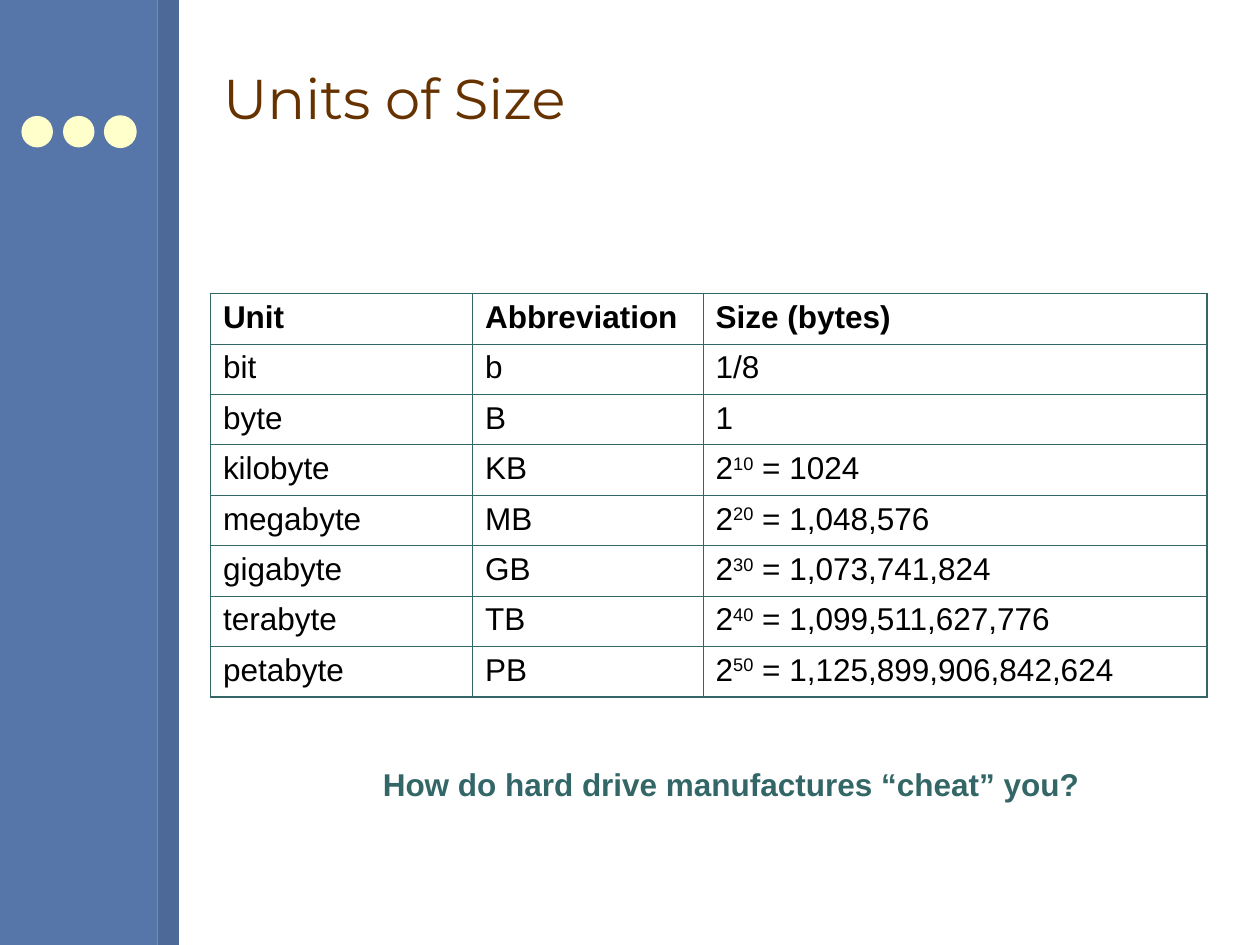
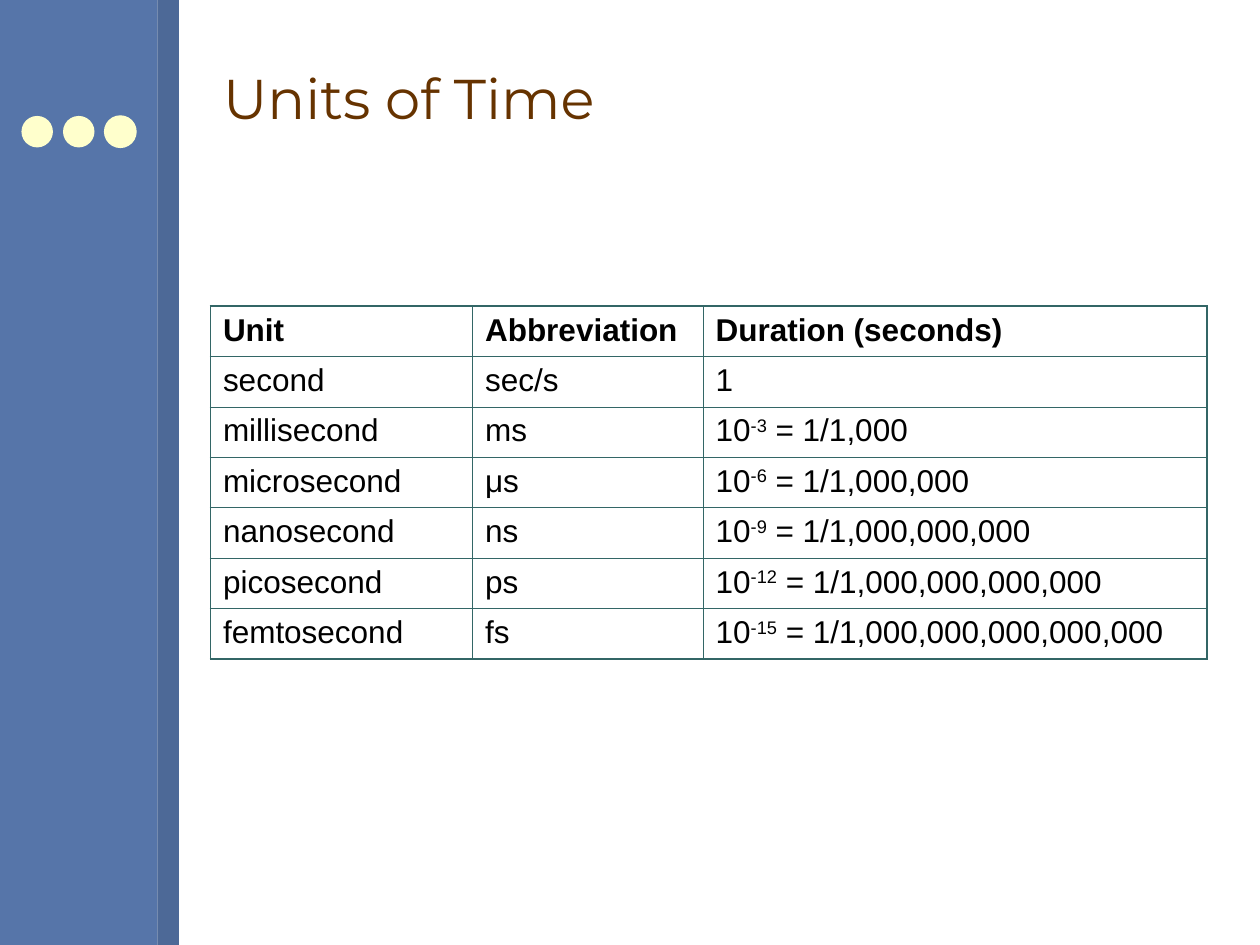
from pptx import Presentation
from pptx.dml.color import RGBColor
from pptx.enum.shapes import MSO_SHAPE as Shape
from pptx.enum.text import MSO_ANCHOR as Anchor, MSO_AUTO_SIZE as AutoSize, PP_ALIGN as Align
from pptx.oxml.ns import qn
from pptx.util import Inches, Pt
from lxml.etree import SubElement

BAND_BLUE = RGBColor(0x56, 0x75, 0xA9)
EDGE_BLUE = RGBColor(0x4D, 0x69, 0x97)
CREAM = RGBColor(0xFF, 0xFF, 0xCC)
BROWN = RGBColor(0x66, 0x33, 0x00)
TEAL = RGBColor(0x33, 0x66, 0x66)
BLACK = RGBColor(0, 0, 0)

TITLE_STYLE = {"name": "Montserrat", "size": Pt(32), "bold": False}
HEADER_STYLE = {"name": "Arial", "size": Pt(18), "bold": True}
ENTRY_STYLE = {**HEADER_STYLE, "bold": False}

TOPICS = [
    {
        "title": "Units of Size",
        "table_top": 2.33,
        "units": [
            ("Unit", "Abbreviation", "Size (bytes)"),
            ("bit", "b", "1/8"),
            ("byte", "B", "1"),
            ("kilobyte", "KB", "2^10^ = 1024"),
            ("megabyte", "MB", "2^20^ = 1,048,576"),
            ("gigabyte", "GB", "2^30^ = 1,073,741,824"),
            ("terabyte", "TB", "2^40^ = 1,099,511,627,776"),
            ("petabyte", "PB", "2^50^ = 1,125,899,906,842,624"),
        ],
        "question": "How do hard drive manufactures “cheat” you?",
    },
    {
        "title": "Units of Time",
        "table_top": 2.43,
        "units": [
            ("Unit", "Abbreviation", "Duration (seconds)"),
            ("second", "sec/s", "1"),
            ("millisecond", "ms", "10^-3^ = 1/1,000"),
            ("microsecond", "μs", "10^-6^ = 1/1,000,000"),
            ("nanosecond", "ns", "10^-9^ = 1/1,000,000,000"),
            ("picosecond", "ps", "10^-12^ = 1/1,000,000,000,000"),
            ("femtosecond", "fs", "10^-15^ = 1/1,000,000,000,000,000"),
        ],
    },
]

CONTENT_LEFT = 1.67
COLUMN_WIDTHS = (2.08, 1.83, 4)
ROW_HEIGHT = 0.4
OUTER_LINE, INNER_LINE = Pt(1.08), Pt(0.45)
DOT_LEFT, DOT_STEP, DOT_COUNT = 0.17, 0.33, 3


def inches(*lengths):
    return [Inches(length) for length in lengths]


def style_font(font, style, color):
    for attribute, value in style.items():
        setattr(font, attribute, value)
    font.color.rgb = color


def write(paragraph, text, style, color):
    for index, part in enumerate(text.split("^")):
        run = paragraph.add_run()
        run.text = part
        style_font(run.font, style, color)
        if index % 2:
            run.font._element.set("baseline", "30000")


def add_plain_shape(slide, kind, place, color):
    shape = slide.shapes.add_shape(kind, *inches(*place))
    shape.shadow.inherit = False
    shape.fill.solid()
    shape.fill.fore_color.rgb = color
    shape.line.fill.background()
    return shape


def add_side_band(slide):
    add_plain_shape(slide, Shape.RECTANGLE, (0, 0, 1.25, 7.5), BAND_BLUE)
    add_plain_shape(slide, Shape.RECTANGLE, (1.25, 0, 0.17, 7.5), EDGE_BLUE)
    for index in range(DOT_COUNT):
        place = (DOT_LEFT + index * DOT_STEP, 0.92, 0.25, 0.25)
        dot = add_plain_shape(slide, Shape.OVAL, place, CREAM)
    dot.line.color.rgb = CREAM
    dot.line.width = Pt(0.75)


def set_title(slide, text):
    title = slide.shapes.title
    title.left, title.top, title.width, title.height = inches(CONTENT_LEFT, 0.21, 8, 1.13)
    title.text_frame.vertical_anchor = Anchor.MIDDLE
    paragraph = title.text_frame.paragraphs[0]
    paragraph.alignment = Align.LEFT
    write(paragraph, text, TITLE_STYLE, BROWN)


def set_borders(cell, outer_sides):
    properties = cell._tc.get_or_add_tcPr()
    for side, is_outer in outer_sides.items():
        width = OUTER_LINE if is_outer else INNER_LINE
        line = SubElement(properties, qn(f"a:ln{side}"), w=str(width))
        fill = SubElement(line, qn("a:solidFill"))
        SubElement(fill, qn("a:srgbClr"), val=str(TEAL))


def add_unit_table(slide, units, top):
    row_count, column_count = len(units), len(COLUMN_WIDTHS)
    place = inches(CONTENT_LEFT, top, sum(COLUMN_WIDTHS), row_count * ROW_HEIGHT)
    table = slide.shapes.add_table(row_count, column_count, *place).table
    table.first_row = table.horz_banding = False
    for column, width in zip(table.columns, COLUMN_WIDTHS):
        column.width = Inches(width)
    for row_index, entries in enumerate(units):
        table.rows[row_index].height = Inches(ROW_HEIGHT)
        style = ENTRY_STYLE if row_index else HEADER_STYLE
        for column_index, entry in enumerate(entries):
            cell = table.cell(row_index, column_index)
            write(cell.text_frame.paragraphs[0], entry, style, BLACK)
            set_borders(cell, {
                "L": column_index == 0,
                "R": column_index == column_count - 1,
                "T": row_index == 0,
                "B": row_index == row_count - 1,
            })
            cell.fill.background()


def add_question(slide, text):
    frame = slide.shapes.add_textbox(*inches(2.94, 6.02, 5.73, 0.4)).text_frame
    frame.word_wrap = False
    frame.auto_size = AutoSize.SHAPE_TO_FIT_TEXT
    write(frame.paragraphs[0], text, HEADER_STYLE, TEAL)


def main():
    deck = Presentation()
    deck.slide_width, deck.slide_height = inches(10, 7.5)
    for topic in TOPICS:
        slide = deck.slides.add_slide(deck.slide_layouts[5])
        add_side_band(slide)
        set_title(slide, topic["title"])
        add_unit_table(slide, topic["units"], topic["table_top"])
        if "question" in topic:
            add_question(slide, topic["question"])
    deck.save("out.pptx")


if __name__ == "__main__":
    main()
